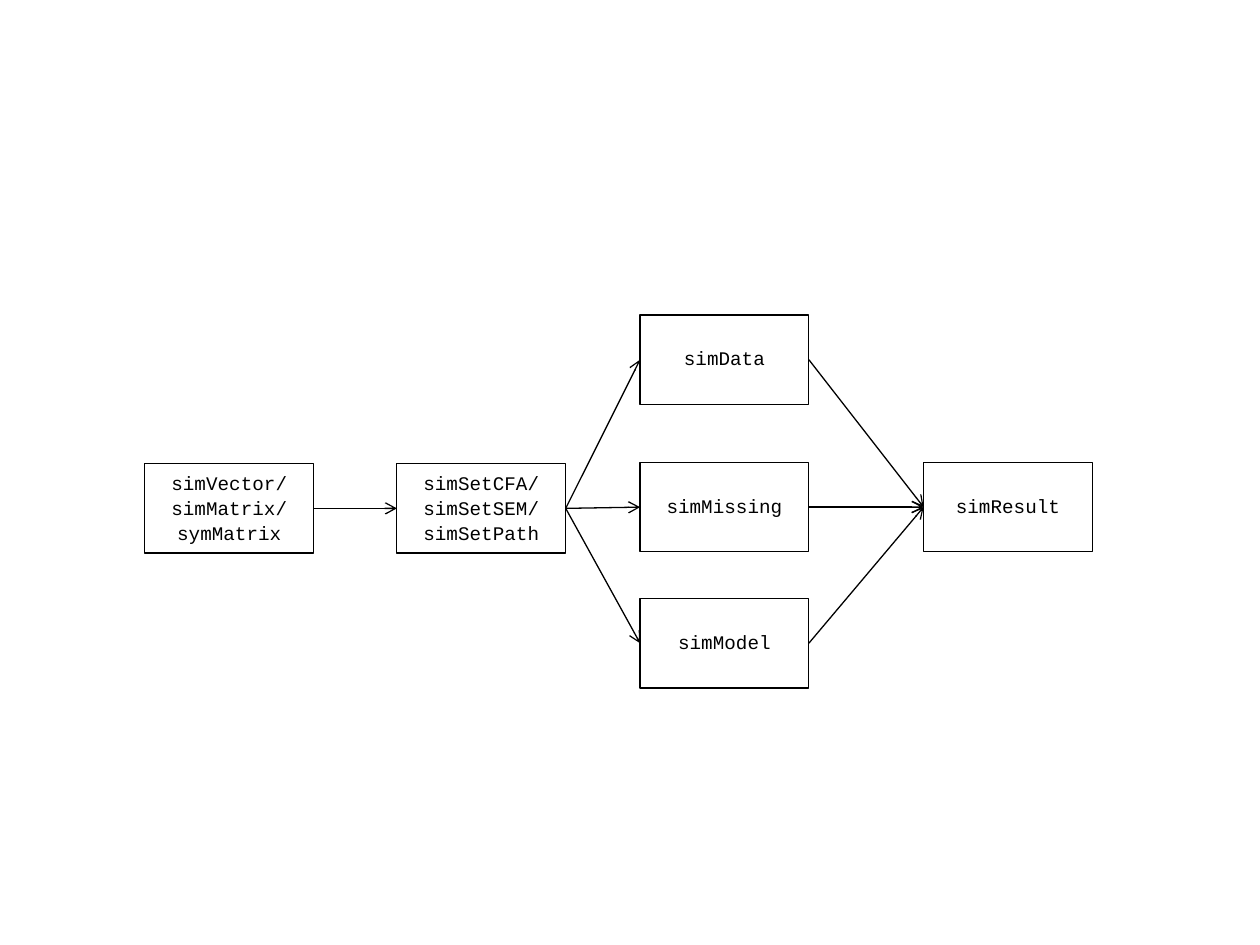
from lxml import etree
from pptx import Presentation
from pptx import util as u
from pptx.dml.color import RGBColor
from pptx.enum import shapes, text
from pptx.oxml import ns

HUES = {"ink": "000000", "paper": "FFFFFF"}
COLS, ROWS = 100, 75
WIDE, HIGH = u.Inches(10), u.Inches(7.5)
NODE_W, NODE_H = 13.4, 7.1
PAD, LINE = 0.5, 1.85  # rows: inner margin and height of a text line


def hue(name):
    return RGBColor.from_string(HUES[name])


def col(n):
    return round(WIDE * n / COLS)


def row(n):
    return round(HIGH * n / ROWS)


def write(shape, words, size=11, font="Courier New", ink="ink", lead=1.08):
    """Fill a shape with top-anchored lines; a lone line starts one line lower."""
    lines = words.split("\n")
    frame = shape.text_frame
    frame.word_wrap = True
    frame.vertical_anchor = text.MSO_ANCHOR.TOP
    frame.margin_top = row(PAD + (LINE if len(lines) == 1 else 0))
    for i, line in enumerate(lines):
        para = frame.paragraphs[0] if i == 0 else frame.add_paragraph()
        para.alignment = text.PP_ALIGN.CENTER
        para.line_spacing = lead
        run = para.add_run()
        run.text = line
        run.font.size = u.Pt(size)
        run.font.name = font
        run.font.color.rgb = hue(ink)


def node(slide, x, y, words):
    box = slide.shapes.add_shape(shapes.MSO_SHAPE.RECTANGLE,
                                 col(x), row(y), col(NODE_W), row(NODE_H))
    box.shadow.inherit = False
    box.fill.solid()
    box.fill.fore_color.rgb = hue("paper")
    box.line.color.rgb = hue("ink")
    box.line.width = u.Pt(0.75)
    write(box, words)
    return box


def arrow(slide, start, end):
    """Join the right side of one node to the left side of the next."""
    link = slide.shapes.add_connector(shapes.MSO_CONNECTOR.STRAIGHT, 0, 0, 0, 0)
    link.begin_connect(start, 3)
    link.end_connect(end, 1)
    link.line.color.rgb = hue("ink")
    link.line.width = u.Pt(0.75)
    etree.SubElement(link.line._get_or_add_ln(), ns.qn("a:tailEnd"), type="arrow")
    etree.SubElement(link._element.spPr, ns.qn("a:effectLst"))


def stage(slide, x, y, steps):
    """Stack nodes below (x, y); each step gives its row offset and words."""
    return [node(slide, x, y + drop, words) for drop, words in steps]


def flow(slide, x, y):
    """Draw the stages from left to right and link each to the next."""
    stages = [
        (0, [(11.8, "simVector/\nsimMatrix/\nsymMatrix")]),
        (20, [(11.8, "simSetCFA/\nsimSetSEM/\nsimSetPath")]),
        (39.3, [(0, "simData"), (11.7, "simMissing"), (22.5, "simModel")]),
        (61.8, [(11.7, "simResult")]),
    ]
    drawn = [stage(slide, x + shift, y, steps) for shift, steps in stages]
    for left, right in zip(drawn, drawn[1:]):
        for start in left:
            for end in right:
                arrow(slide, start, end)


def main():
    deck = Presentation()
    deck.slide_width, deck.slide_height = WIDE, HIGH
    slide = deck.slides.add_slide(deck.slide_layouts[6])
    flow(slide, 11.5, 25)
    deck.save("out.pptx")


if __name__ == "__main__":
    main()
